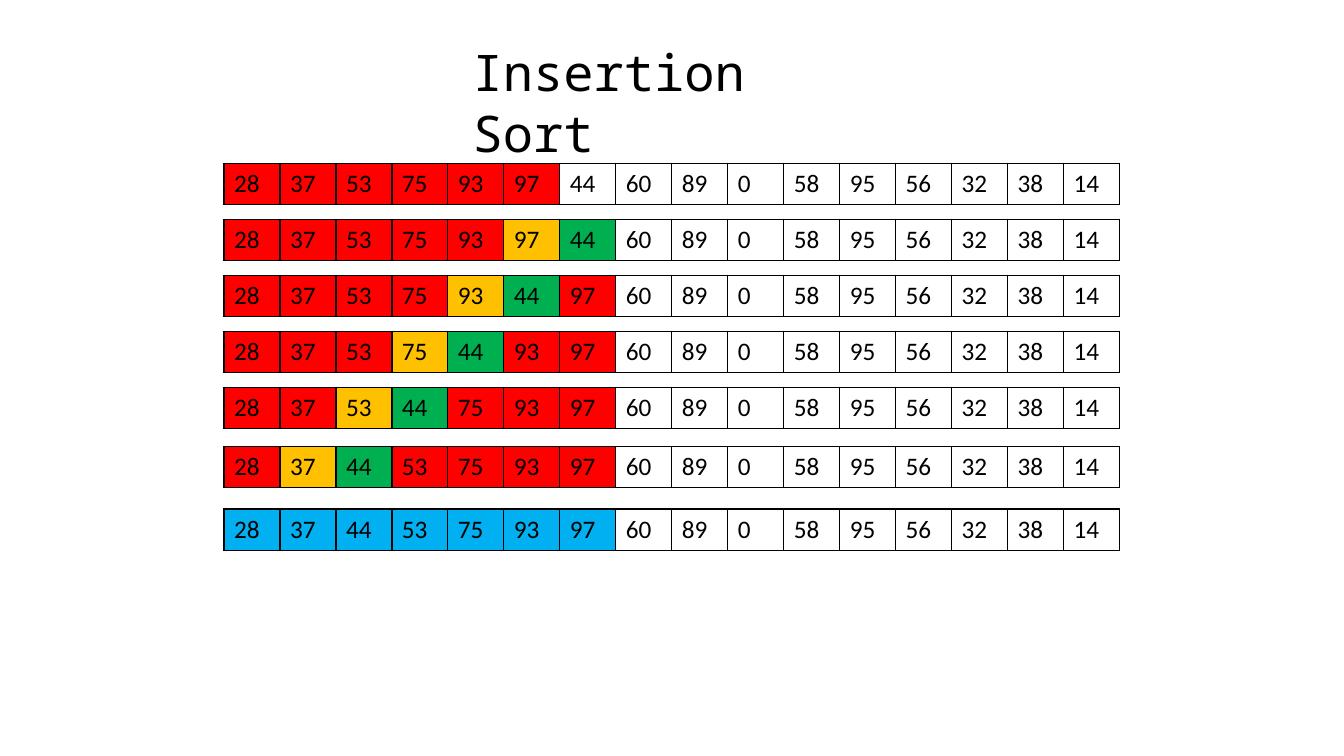
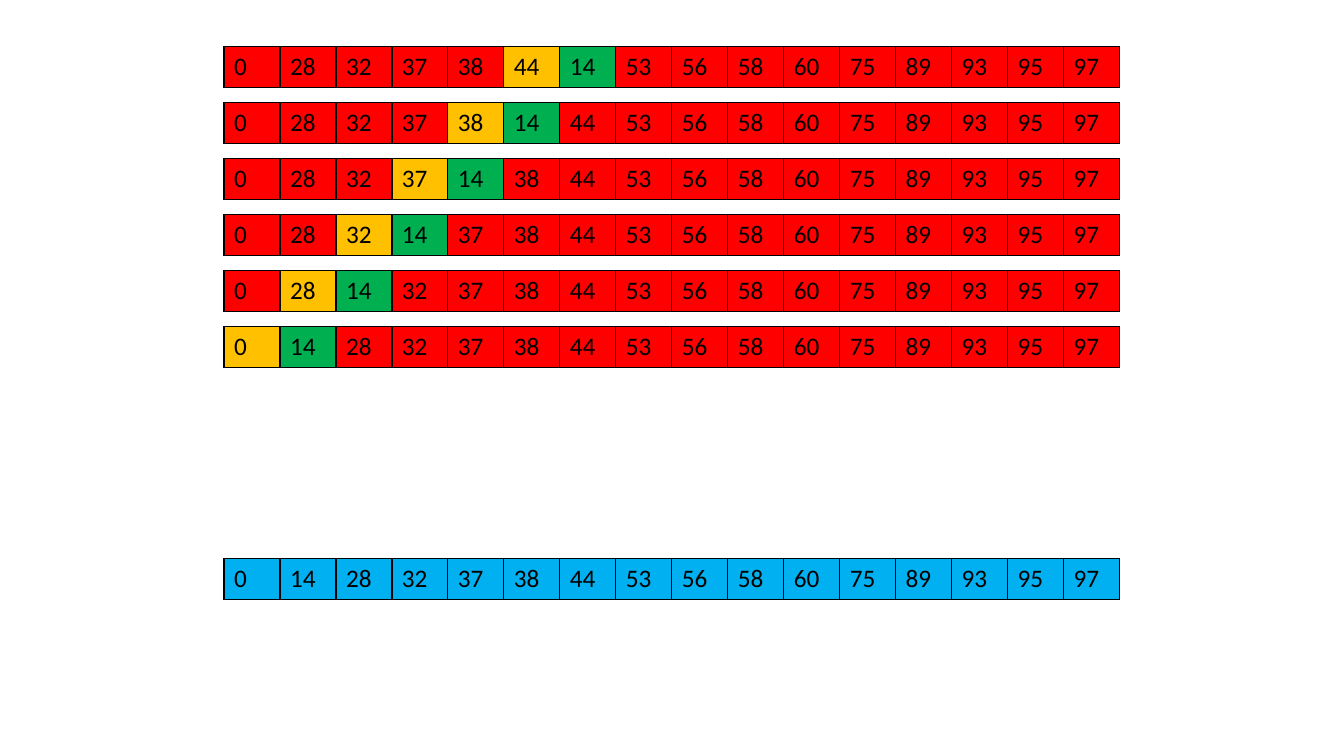
from lxml import etree
from pptx import Presentation
from pptx import util as u
from pptx.dml.color import RGBColor
from pptx.enum import text
from pptx.oxml import ns

SORTED = RGBColor(0xFF, 0x00, 0x00)
COMPARED = RGBColor(0xFF, 0xC0, 0x00)
KEY = RGBColor(0x00, 0xB0, 0x50)
DONE = RGBColor(0x00, 0xB0, 0xF0)
INK = RGBColor(0x00, 0x00, 0x00)

WIDTH, HEIGHT = 13.33, 7.5
COLUMN = WIDTH / 24
ROW_HEIGHT = 0.41
ARRAY_LEFT = 4 * COLUMN


def style_text(frame, font_name, size):
    """Apply one font to every paragraph of a text frame."""
    for paragraph in frame.paragraphs:
        paragraph.font.name = font_name
        paragraph.font.size = u.Pt(size)
        paragraph.font.color.rgb = INK


def add_title(slide, wording, left, top, width, height):
    """Place a heading that wraps within its box."""
    title = slide.shapes.add_textbox(*map(u.Inches, (left, top, width, height)))
    frame = title.text_frame
    frame.word_wrap = True
    frame.auto_size = text.MSO_AUTO_SIZE.SHAPE_TO_FIT_TEXT
    frame.text = wording
    style_text(frame, "Noto Sans Mono", 36)


def add_borders(cell):
    """Draw a one-point line on all four sides of a cell."""
    properties = cell._tc.get_or_add_tcPr()
    for index, side in enumerate(("lnL", "lnR", "lnT", "lnB")):
        line = etree.Element(ns.qn(f"a:{side}"), w=str(u.Pt(1)))
        fill = etree.SubElement(line, ns.qn("a:solidFill"))
        etree.SubElement(fill, ns.qn("a:srgbClr"), val=str(INK))
        properties.insert(index, line)


def add_array(slide, values, fills, top):
    """Show an array as a one-row table, filling the leading cells."""
    table = slide.shapes.add_table(
        1, len(values), u.Inches(ARRAY_LEFT), u.Inches(top),
        u.Inches(COLUMN * len(values)), u.Inches(ROW_HEIGHT)).table
    table.first_row = table.horz_banding = False
    for index, value in enumerate(values):
        cell = table.cell(0, index)
        cell.text = str(value)
        style_text(cell.text_frame, "Calibri", 18)
        if index < len(fills):
            cell.fill.solid()
            cell.fill.fore_color.rgb = fills[index]
        else:
            cell.fill.background()
        add_borders(cell)


def add_insertion(slide, values, key_at, final_at, sorted_count, tops):
    """Show each leftward move of the key, then the finished array."""
    values = list(values)
    *step_tops, done_top = tops
    for position, top in zip(range(key_at, final_at - 1, -1), step_tops):
        fills = [SORTED] * sorted_count
        fills[position - 1:position + 1] = COMPARED, KEY
        add_array(slide, values, fills, top)
        if position > final_at:
            values[position - 1:position + 1] = values[position], values[position - 1]
    add_array(slide, values, [DONE] * sorted_count, done_top)


def build_first_insertion(slide):
    """Insert 44 into the sorted start of the array."""
    values = [28, 37, 53, 75, 93, 97, 44, 60, 89, 0, 58, 95, 56, 32, 38, 14]
    add_title(slide, "Insertion Sort", 4.59, 0.36, 4.14, 0.71)
    start = 1.62
    add_array(slide, values, [SORTED] * 6, start)
    steps = [start + COLUMN * step for step in range(1, 5)]
    add_insertion(slide, values, 6, 2, 7, steps + [4.43, 5.05])


def build_last_insertion(slide):
    """Insert 14 to finish sorting the array."""
    values = [0, 28, 32, 37, 38, 44, 14, 53, 56, 58, 60, 75, 89, 93, 95, 97]
    steps = [0.46 + COLUMN * step for step in range(6)]
    add_insertion(slide, values, 6, 1, len(values), steps + [5.54])


deck = Presentation()
deck.slide_width, deck.slide_height = u.Inches(WIDTH), u.Inches(HEIGHT)
for build in (build_first_insertion, build_last_insertion):
    build(deck.slides.add_slide(deck.slide_layouts[6]))
deck.save("out.pptx")
